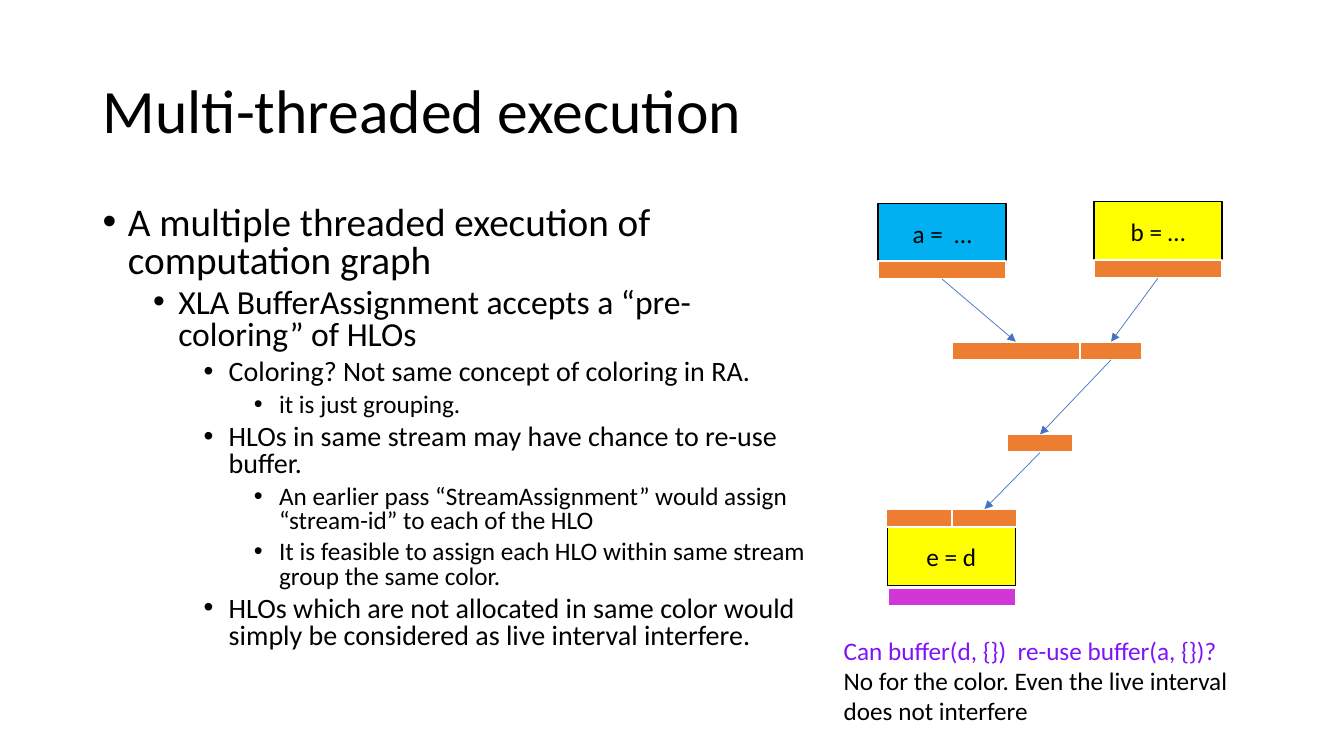
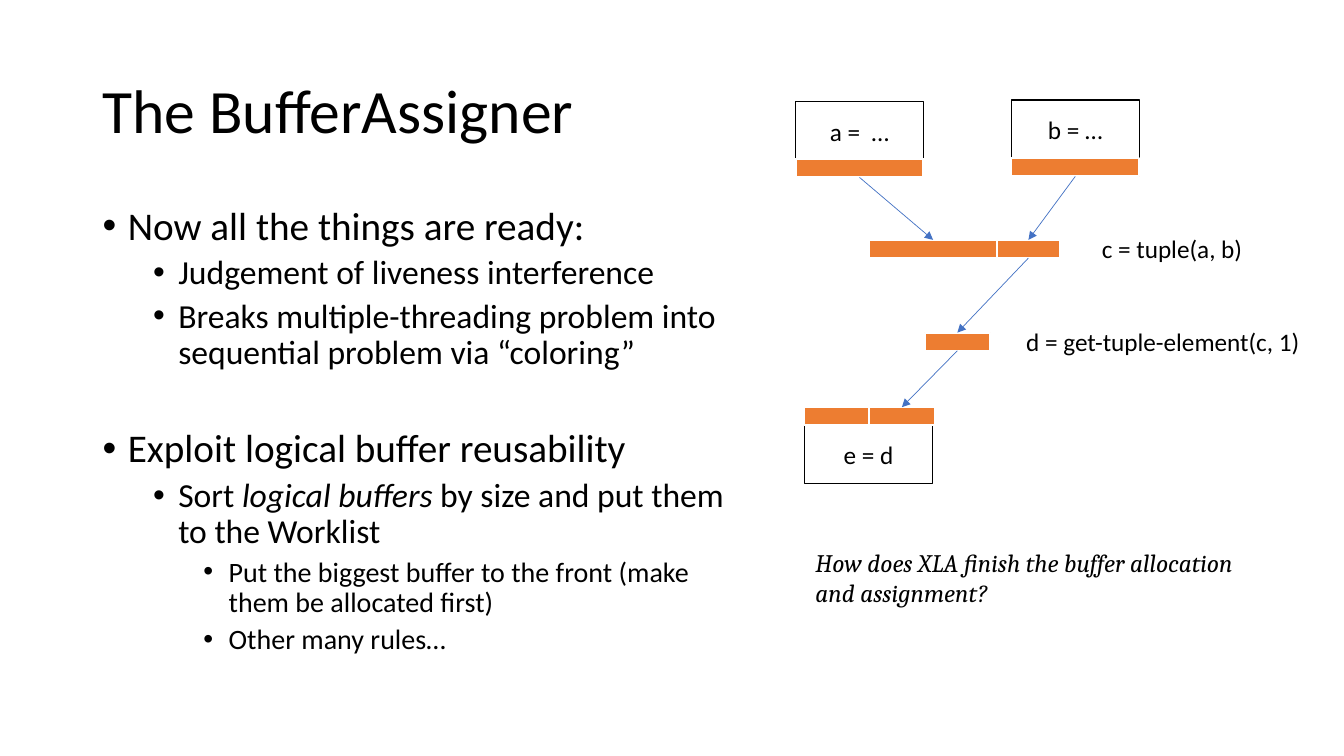
from lxml import etree
from pptx import Presentation
from pptx.dml.color import RGBColor
from pptx.enum.shapes import MSO_CONNECTOR, MSO_SHAPE
from pptx.enum.text import MSO_ANCHOR, PP_ALIGN
from pptx.oxml.ns import qn
from pptx.util import Inches, Pt

RECT, STRAIGHT = MSO_SHAPE.RECTANGLE, MSO_CONNECTOR.STRAIGHT
MIDDLE, TOP, CENTER = MSO_ANCHOR.MIDDLE, MSO_ANCHOR.TOP, PP_ALIGN.CENTER
TOP_SIDE, BOTTOM_SIDE = 0, 2

FONT, QUOTE_FONT = "Calibri", "Cambria"
BLACK, WHITE, ORANGE, BLUE = "000000", "FFFFFF", "ED7D31", "4472C4"
CYAN, YELLOW, MAGENTA, VIOLET = "00B0F0", "FFFF00", "D236D6", "8012FA"

MARGIN, BODY_TOP, BODY_HEIGHT = 0.92, 2, 4.76
LEVEL_SIZES = [28, 24, 20, 18]
HANG, LEVEL_STEP = 0.25, 0.5
NODE_W, NODE_H, BAR_H = 1.27, 0.59, 0.18
HALF_W = 0.65


def rgb(color):
    return RGBColor.from_string(color)


def style(r, size, color=BLACK, font=FONT, italic=False):
    r.font.size, r.font.name, r.font.italic = Pt(size), font, italic
    r.font.color.rgb = rgb(color)


def add_text(slide, box, lines, size=18, anchor=TOP, font=FONT, italic=False):
    """Place a text box; each line is a (text, colour) pair."""
    tf = slide.shapes.add_textbox(*map(Inches, box)).text_frame
    tf.word_wrap, tf.vertical_anchor = True, anchor
    for i, (text, color) in enumerate(lines):
        p = tf.add_paragraph() if i else tf.paragraphs[0]
        p.text = text
        style(p.runs[0], size, color, font, italic)
    return tf


def add_title(slide, text):
    tf = add_text(slide, (MARGIN, 0.4, 11.5, 1.45), [(text, BLACK)], 44, MIDDLE)
    tf.paragraphs[0].line_spacing = 0.9


def add_bullet(p, level):
    pPr = p._p.get_or_add_pPr()
    pPr.set("marL", str(Inches(HANG + LEVEL_STEP * level)))
    pPr.set("indent", str(-Inches(HANG)))
    etree.SubElement(pPr, qn("a:buFont")).set("typeface", "Arial")
    etree.SubElement(pPr, qn("a:buChar")).set("char", "•")


def add_body(slide, width, items, spacing, section_gap=10):
    """Place (level, text) bullets; text between asterisks is italic."""
    box = (MARGIN, BODY_TOP, width, BODY_HEIGHT)
    tf = slide.shapes.add_textbox(*map(Inches, box)).text_frame
    tf.word_wrap = True
    for i, (level, text) in enumerate(items):
        p = tf.add_paragraph() if i else tf.paragraphs[0]
        add_bullet(p, level)
        p.level, p.line_spacing = level, spacing
        if i:
            p.space_before = Pt(5 if level else section_gap)
        for part, words in enumerate(text.split("*")):
            r = p.add_run()
            r.text = words
            style(r, LEVEL_SIZES[level], italic=part % 2 == 1)


def add_rect(slide, box, fill, line, weight):
    s = slide.shapes.add_shape(RECT, *map(Inches, box))
    s.shadow.inherit = False
    s.fill.solid()
    s.fill.fore_color.rgb = rgb(fill)
    s.line.color.rgb = rgb(line)
    s.line.width = Pt(weight)
    return s


def add_node(slide, x, y, text, fill):
    s = add_rect(slide, (x, y, NODE_W, NODE_H), fill, BLACK, 1)
    tf = s.text_frame
    tf.vertical_anchor = MIDDLE
    p = tf.paragraphs[0]
    p.text, p.alignment = text, CENTER
    style(p.runs[0], 18)


def add_bar(slide, x, y, width=NODE_W, fill=ORANGE):
    return add_rect(slide, (x, y, width, BAR_H), fill, WHITE, 1.5)


def add_arrow(slide, source, target):
    """Join the bottom of one bar to the top of another."""
    c = slide.shapes.add_connector(STRAIGHT, 0, 0, 0, 0)
    c.begin_connect(source, BOTTOM_SIDE)
    c.end_connect(target, TOP_SIDE)
    c.line.color.rgb = rgb(BLUE)
    c.line.width = Pt(0.5)
    etree.SubElement(c.line._get_or_add_ln(), qn("a:tailEnd")).set("type", "triangle")
    etree.SubElement(c._element.spPr, qn("a:effectLst"))


def add_graph(slide, x, y, fills):
    """Draw the computation graph with its top left corner at x, y."""
    nodes = [(0, 0.02, "a =  …"), (2.14, 0, "b = …"), (0.09, 3.22, "e = d")]
    for (dx, dy, text), fill in zip(nodes, fills):
        add_node(slide, x + dx, y + dy, text, fill)
    bars = [(0, 0.59, NODE_W), (2.14, 0.58, NODE_W),
            (0.73, 1.39, NODE_W), (2, 1.39, 0.62),
            (1.28, 2.31, HALF_W),
            (0.08, 3.05, HALF_W), (0.73, 3.05, HALF_W)]
    a, b, c_first, c_second, d, _, e_second = [
        add_bar(slide, x + dx, y + dy, width) for dx, dy, width in bars]
    for source, target in [(a, c_first), (b, c_second), (c_second, d), (d, e_second)]:
        add_arrow(slide, source, target)


def build_execution(slide):
    add_title(slide, "Multi-threaded execution")
    add_body(slide, 7.18, [
        (0, "A multiple threaded execution of computation graph"),
        (1, "XLA BufferAssignment accepts a “pre-coloring” of HLOs"),
        (2, "Coloring? Not same concept of coloring in RA."),
        (3, "it is just grouping."),
        (2, "HLOs in same stream may have chance to re-use buffer."),
        (3, "An earlier pass “StreamAssignment” would assign “stream-id” to each of the HLO"),
        (3, "It is feasible to assign each HLO within same stream group the same color."),
        (2, "HLOs which are not allocated in same color would simply be considered as "
            "live interval interfere."),
    ], spacing=0.8)
    x, y = 8.71, 2
    add_graph(slide, x, y, [CYAN, YELLOW, YELLOW])
    add_bar(slide, x + 0.1, y + 3.83, fill=MAGENTA)
    add_text(slide, (8.27, 6.25, 4.4, 1.01), [
        ("Can buffer(d, {})  re-use buffer(a, {})?", VIOLET),
        ("No for the color. Even the live interval does not interfere", BLACK)])


def build_assigner(slide):
    add_title(slide, "The BufferAssigner")
    add_body(slide, 6.57, [
        (0, "Now all the things are ready:"),
        (1, "Judgement of liveness interference"),
        (1, "Breaks multiple-threading problem into sequential problem via “coloring”"),
        (0, "Exploit logical buffer reusability"),
        (1, "Sort *logical buffers *by size and put them to the Worklist"),
        (2, "Put the biggest buffer to the front (make them be allocated first)"),
        (2, "Other many rules…"),
    ], spacing=0.9, section_gap=41)
    x, y = 7.89, 0.99
    add_graph(slide, x, y, [WHITE] * 3)
    add_text(slide, (x + 2.94, y + 1.28, 2.1, 0.4), [("c = tuple(a, b)", BLACK)])
    add_text(slide, (x + 2.19, y + 2.2, 3, 0.4), [("d = get-tuple-element(c, 1)", BLACK)])
    add_text(slide, (x + 0.1, y + 4.39, 4.63, 0.71),
             [("How does XLA finish the buffer allocation and assignment?", BLACK)],
             font=QUOTE_FONT, italic=True)


def main():
    prs = Presentation()
    prs.slide_width, prs.slide_height = Inches(13.33), Inches(7.5)
    blank = prs.slide_layouts[6]
    for build in (build_execution, build_assigner):
        build(prs.slides.add_slide(blank))
    prs.save("out.pptx")


if __name__ == "__main__":
    main()
